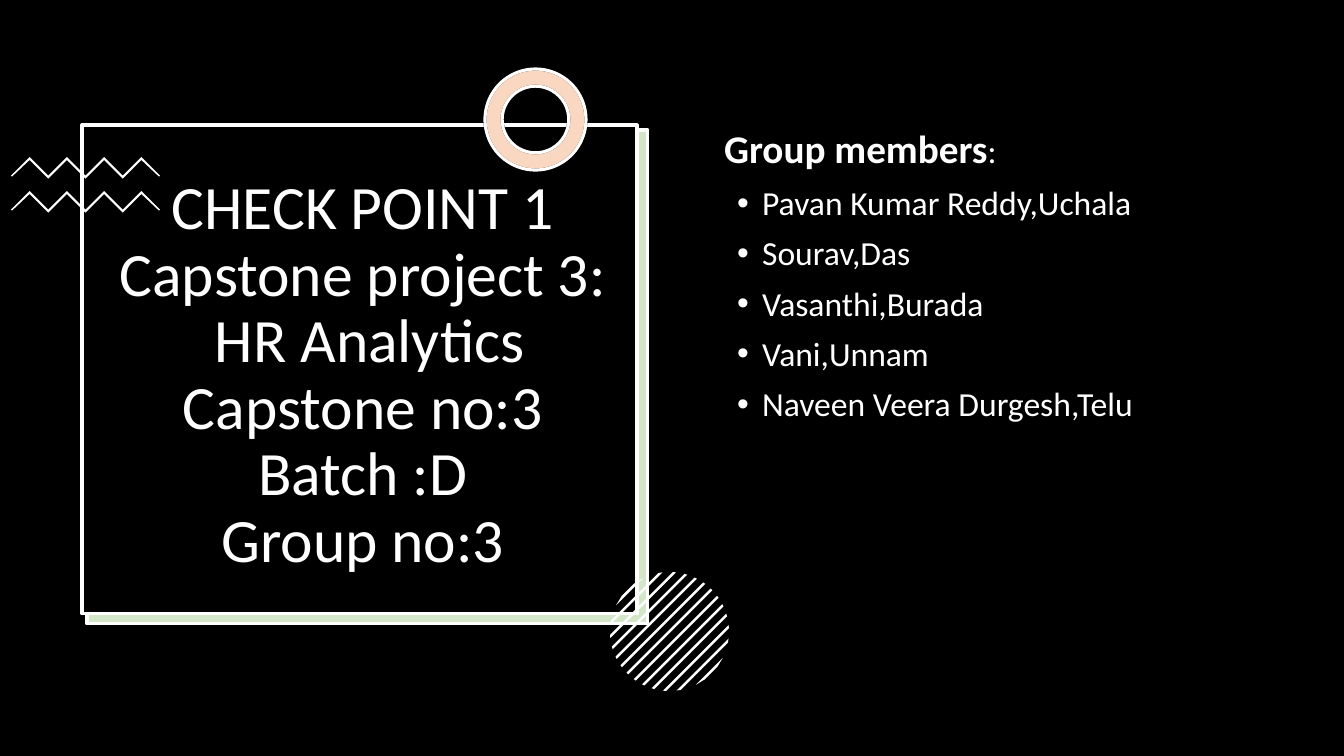
from math import sqrt

from lxml import etree
from pptx import Presentation
from pptx.dml.color import RGBColor
from pptx.enum.shapes import MSO_SHAPE
from pptx.enum.text import MSO_ANCHOR, MSO_AUTO_SIZE, PP_ALIGN
from pptx.oxml.ns import qn
from pptx.util import Emu, Pt

RECTANGLE, DONUT = MSO_SHAPE.RECTANGLE, MSO_SHAPE.DONUT
LEFT, CENTER = PP_ALIGN.LEFT, PP_ALIGN.CENTER
TOP, MIDDLE = MSO_ANCHOR.TOP, MSO_ANCHOR.MIDDLE
NO_AUTOFIT = MSO_AUTO_SIZE.NONE

BLACK = RGBColor(0x00, 0x00, 0x00)
WHITE = RGBColor(0xFF, 0xFF, 0xFF)
GREEN = RGBColor(0x70, 0xAD, 0x47)
ORANGE = RGBColor(0xED, 0x7D, 0x31)
FONT = "Calibri"

SLIDE_WIDTH, SLIDE_HEIGHT = 1344, 756
EMU_PER_PX = 12192000 / SLIDE_WIDTH

TITLE_LINES = ["CHECK POINT 1", "Capstone project 3:", " HR Analytics",
               "Capstone no:3", "Batch :D", "Group no:3"]
MEMBERS = ["Pavan Kumar Reddy,Uchala", "Sourav,Das", "Vasanthi,Burada",
           "Vani,Unnam", "Naveen Veera Durgesh,Telu"]


def px(length):
    return Emu(round(length * EMU_PER_PX))


def paint(shape, fill, line=None, opacity=100):
    shape.shadow.inherit = False
    shape.fill.solid()
    shape.fill.fore_color.rgb = fill
    if opacity < 100:
        color = shape.element.spPr.find(qn("a:solidFill"))[0]
        etree.SubElement(color, qn("a:alpha"), val=str(opacity * 1000))
    if line is None:
        shape.line.fill.background()
    else:
        shape.line.color.rgb = line
        shape.line.width = Pt(2.25)


def add_preset(shapes, kind, box, fill, line=None, opacity=100):
    shape = shapes.add_shape(kind, *map(px, box))
    paint(shape, fill, line, opacity)
    return shape


def add_polygon(shapes, points):
    """Add a white outline through points given in px."""
    start, *others = [(px(x), px(y)) for x, y in points]
    builder = shapes.build_freeform(*start)
    builder.add_line_segments(others, close=True)
    paint(builder.convert_to_shape(), WHITE)


def add_title_panel(shapes, left, top, width, height):
    """Add the framed panel with its green backing to the lower right."""
    backing = (left + 5, top + 5, width + 6, height + 5)
    add_preset(shapes, RECTANGLE, backing, WHITE)
    add_preset(shapes, RECTANGLE, backing, GREEN, WHITE, 30)
    add_preset(shapes, RECTANGLE, (left, top, width, height), BLACK, WHITE)


def add_zigzags(shapes, left, top, width, row_gap):
    group = shapes.add_group_shape()
    teeth, thickness, inset = 8, 3, 1
    pitch = width / teeth
    for y in (top, top + row_gap):
        upper = [(left + i * pitch, y + (0 if i % 2 else pitch))
                 for i in range(teeth + 1)]
        lower = [(x, edge + thickness) for x, edge in upper[1:-1]]
        first_end = (left + inset, upper[0][1] + inset)
        last_end = (left + width - inset, upper[-1][1] + inset)
        add_polygon(group.shapes, upper + [last_end] + lower[::-1] + [first_end])


def add_ring(shapes, box):
    for fill, line, opacity in ((WHITE, BLACK, 100), (ORANGE, WHITE, 30)):
        ring = add_preset(shapes, DONUT, box, fill, line, opacity)
        ring.adjustments[0] = 0.17


def add_striped_circle(shapes, left, top, diameter):
    """Fill a circle with evenly spaced diagonal stripes."""
    group = shapes.add_group_shape()
    radius = diameter / 2
    center_x, center_y = left + radius, top + radius
    stripes, step, half_band = 13, 9.6, 1.25

    def chord(distance):
        along = sqrt(radius ** 2 - distance ** 2)
        return [(center_x + (distance + side * along) / sqrt(2),
                 center_y + (distance - side * along) / sqrt(2))
                for side in (-1, 1)]

    for i in range(stripes):
        distance = (i - stripes // 2) * step
        add_polygon(group.shapes, chord(distance - half_band)
                    + chord(distance + half_band)[::-1])


def prepare_placeholder(placeholder, box, anchor):
    """Place a placeholder in front of the shapes and return its text frame."""
    placeholder.element.getparent().append(placeholder.element)
    (placeholder.left, placeholder.top,
     placeholder.width, placeholder.height) = map(px, box)
    frame = placeholder.text_frame
    frame.word_wrap = True
    frame.auto_size = NO_AUTOFIT
    frame.vertical_anchor = anchor
    return frame


def add_run(paragraph, text, size, bold=False):
    run = paragraph.add_run()
    run.text = text
    run.font.name = FONT
    run.font.size = Pt(size)
    run.font.bold = bold
    run.font.color.rgb = WHITE


def format_paragraph(paragraph, alignment, space_before=0):
    paragraph.alignment = alignment
    paragraph.line_spacing = 0.9
    paragraph.space_before = Pt(space_before)


def add_bullet(paragraph):
    properties = paragraph._p.get_or_add_pPr()
    properties.set("marL", str(px(38)))
    properties.set("indent", str(-px(25)))
    etree.SubElement(properties, qn("a:buFont"), typeface="Arial")
    etree.SubElement(properties, qn("a:buChar"), char="•")


def fill_title(title, box):
    paragraph = prepare_placeholder(title, box, MIDDLE).paragraphs[0]
    format_paragraph(paragraph, CENTER)
    for i, line in enumerate(TITLE_LINES):
        if i:
            paragraph.add_line_break()
        add_run(paragraph, line, 44)


def fill_members(subtitle, box):
    frame = prepare_placeholder(subtitle, box, TOP)
    heading = frame.paragraphs[0]
    format_paragraph(heading, LEFT, 10)
    add_run(heading, "Group members", 28, bold=True)
    add_run(heading, ":", 24)
    for member in MEMBERS:
        paragraph = frame.add_paragraph()
        format_paragraph(paragraph, LEFT, 10)
        add_bullet(paragraph)
        add_run(paragraph, member, 24)


def build_title_slide(presentation):
    slide = presentation.slides.add_slide(presentation.slide_layouts[0])
    shapes = slide.shapes
    add_preset(shapes, RECTANGLE, (0, 0, SLIDE_WIDTH, SLIDE_HEIGHT), BLACK)
    add_title_panel(shapes, 82, 125, 555, 489)
    add_zigzags(shapes, 11, 157, 149, 34)
    add_ring(shapes, (485, 69, 101, 101))
    add_striped_circle(shapes, 610, 572, 119)
    fill_title(shapes.title, (93, 153, 540, 446))
    fill_members(slide.placeholders[1], (714, 125, 548, 480))


def main():
    presentation = Presentation()
    presentation.slide_width = px(SLIDE_WIDTH)
    presentation.slide_height = px(SLIDE_HEIGHT)
    build_title_slide(presentation)
    presentation.save("out.pptx")


if __name__ == "__main__":
    main()
